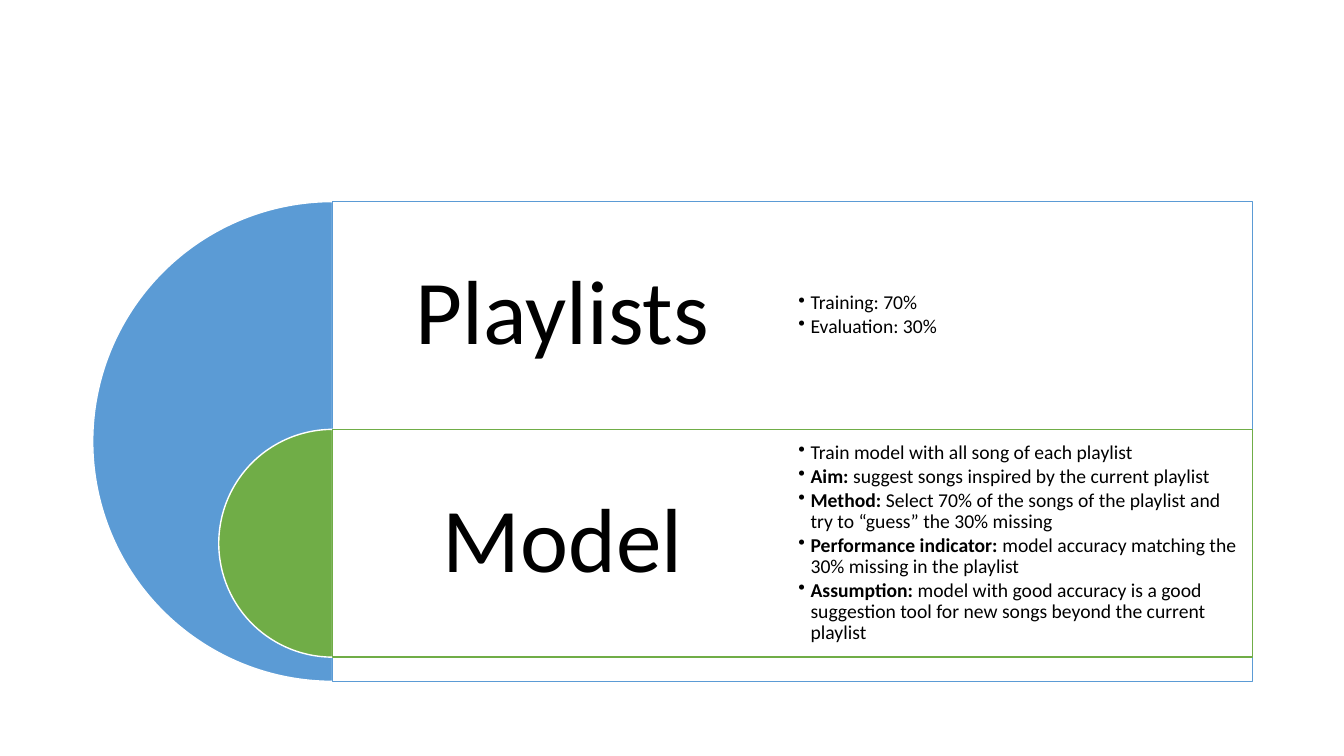
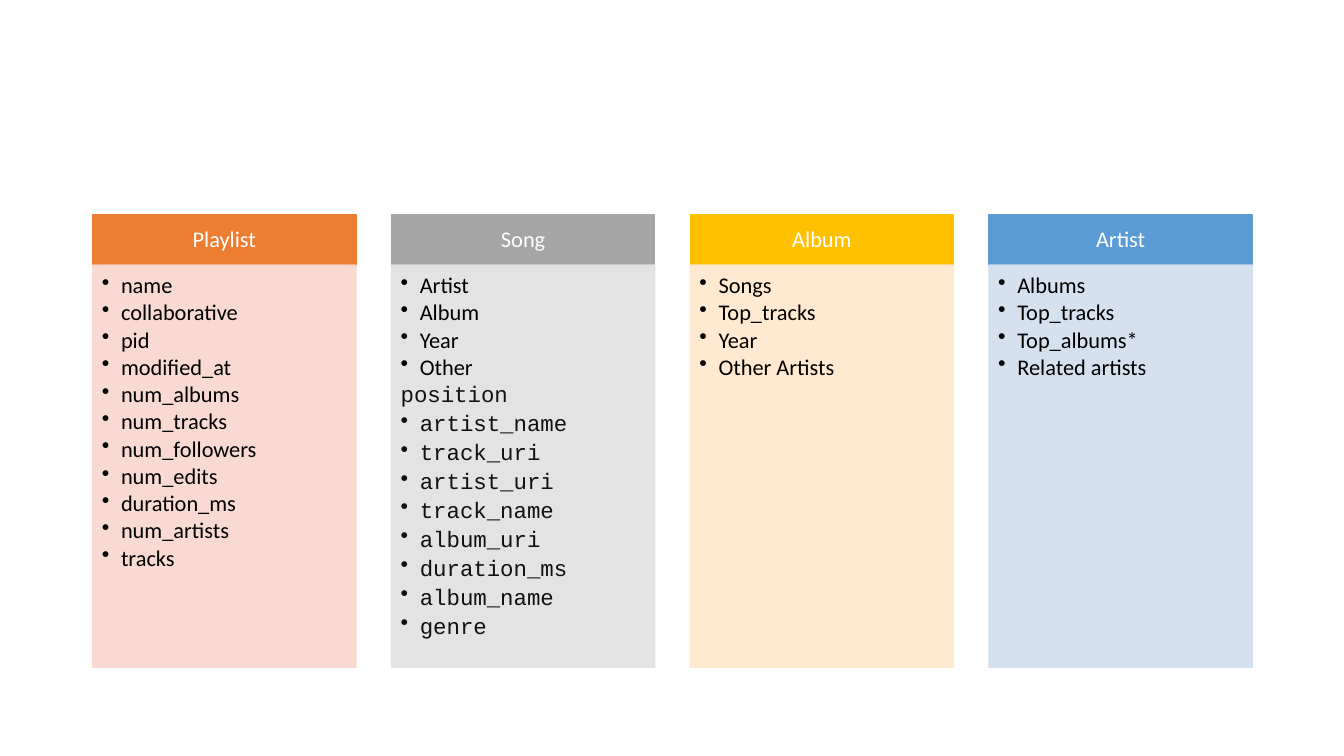
from lxml.etree import SubElement
from pptx import Presentation
from pptx.dml.color import RGBColor
from pptx.enum.shapes import MSO_SHAPE
from pptx.enum.text import MSO_ANCHOR, PP_ALIGN
from pptx.oxml.ns import qn
from pptx.util import Inches, Pt

# Shared style
BLUE, GREEN, ORANGE = "5B9BD5", "70AD47", "ED7D31"
GRAY, GOLD = "A5A5A5", "FFC000"
WHITE, BLACK, CODE_INK = "FFFFFF", "000000", "0F1214"
BODY_FONT, CODE_FONT = "Calibri", "Courier New"
LEFT, RIGHT = 0.92, 12.42


def color(hex_value):
    return RGBColor.from_string(hex_value)


def set_alpha(fill_parent, percent):
    """Make the solid fill inside an spPr or a:ln element translucent."""
    rgb = fill_parent.find(qn("a:solidFill")).find(qn("a:srgbClr"))
    SubElement(rgb, qn("a:alpha"), val=str(percent * 1000))


def add_block(slide, preset, box, fill, line, alpha=None, line_alpha=None):
    block = slide.shapes.add_shape(preset, *map(Inches, box))
    block.shadow.inherit = False
    block.fill.solid()
    block.fill.fore_color.rgb = color(fill)
    block.line.color.rgb = color(line)
    block.line.width = Pt(1)
    properties = block.fill._xPr
    if alpha:
        set_alpha(properties, alpha)
    if line_alpha:
        set_alpha(properties.find(qn("a:ln")), line_alpha)
    return block


def set_frame(shape, insets, anchor=MSO_ANCHOR.MIDDLE):
    frame = shape.text_frame
    frame.word_wrap = True
    frame.vertical_anchor = anchor
    (frame.margin_left, frame.margin_top,
     frame.margin_right, frame.margin_bottom) = map(Inches, insets)
    return frame


def add_text(frame, lines, size, font=BODY_FONT, ink=BLACK,
             align=PP_ALIGN.LEFT, indent=0, bullet=True, gap=0.135):
    """Append lines; in a tuple the first part is a bold label."""
    for line in lines:
        first = frame.paragraphs[0]
        paragraph = frame.add_paragraph() if first.runs else first
        paragraph.alignment = align
        paragraph.line_spacing = 0.9
        paragraph.space_before = Pt(0)
        paragraph.space_after = Pt(round(size * gap, 1))
        if indent:
            hanging = paragraph._p.get_or_add_pPr()
            hanging.set("marL", str(Inches(indent)))
            hanging.set("indent", str(-Inches(indent)))
            if bullet:
                SubElement(hanging, qn("a:buChar"), char="•")
        parts = line if isinstance(line, tuple) else (line,)
        for position, part in enumerate(parts):
            run = paragraph.add_run()
            run.text = part
            run.font.size = Pt(size)
            run.font.name = font
            run.font.bold = position < len(parts) - 1
            run.font.color.rgb = color(ink)


# Nested half circles, each opening onto a bordered panel
def add_target(slide, box, rings):
    left, top, width, height = box
    center = left + height / 2
    band = 2.26
    panel_width = left + width - center
    half = panel_width / 2
    for index, (heading, points, accent) in enumerate(rings):
        band_top = top + index * band
        diameter = height if index == 0 else band
        pie = add_block(slide, MSO_SHAPE.PIE,
                        (center - diameter / 2, band_top, diameter, diameter),
                        accent, WHITE)
        pie.adjustments[0], pie.adjustments[1] = 54, 162
        add_block(slide, MSO_SHAPE.RECTANGLE,
                  (center, band_top, panel_width, diameter),
                  WHITE, accent, alpha=90)

        heading_box = slide.shapes.add_textbox(
            *map(Inches, (center, band_top, half, band)))
        add_text(set_frame(heading_box, [0.27] * 4), [heading], 65,
                 align=PP_ALIGN.CENTER, gap=0)
        points_box = slide.shapes.add_textbox(
            *map(Inches, (center + half, band_top, half, band)))
        add_text(set_frame(points_box, [0.06] * 4), points, 14, indent=0.12)


# One field column: coloured header over a tinted list
def add_column(slide, box, heading, accent, tint, fields, code_fields):
    left, top, width, height = box
    header_height = 0.5
    header = add_block(slide, MSO_SHAPE.RECTANGLE,
                       (left, top, width, header_height), accent, accent)
    add_text(set_frame(header, (0.12, 0.07, 0.12, 0.07)), [heading], 16,
             ink=WHITE, align=PP_ALIGN.CENTER, gap=0)

    panel = add_block(slide, MSO_SHAPE.RECTANGLE,
                      (left, top + header_height, width, height - header_height),
                      tint, tint, alpha=90, line_alpha=90)
    listing = set_frame(panel, (0.09, 0.09, 0.12, 0.14), MSO_ANCHOR.TOP)
    add_text(listing, fields, 16, indent=0.19)
    code = dict(font=CODE_FONT, ink=CODE_INK, indent=0.19, gap=0.21)
    add_text(listing, code_fields[:1], 16, bullet=False, **code)
    add_text(listing, code_fields[1:], 16, **code)


def add_columns(slide, box, columns):
    left, top, width, height = box
    column_width = 2.61
    pitch = (width - column_width) / (len(columns) - 1)
    for index, column in enumerate(columns):
        add_column(slide, (left + index * pitch, top, column_width, height),
                   *column)


RINGS = [
    ("Playlists", ["Training: 70%", "Evaluation: 30%"], BLUE),
    ("Model", [
        "Train model with all song of each playlist",
        ("Aim:", " suggest songs inspired by the current playlist"),
        ("Method:", " Select 70% of the songs of the playlist and try to "
                    "“guess” the 30% missing"),
        ("Performance indicator:",
         " model accuracy matching the 30% missing in the playlist"),
        ("Assumption:", " model with good accuracy is a good suggestion tool "
                        "for new songs beyond the current playlist"),
    ], GREEN),
]

COLUMNS = [
    ("Playlist", ORANGE, "F8D7CE",
     ["name", "collaborative", "pid", "modified_at", "num_albums",
      "num_tracks", "num_followers", "num_edits", "duration_ms",
      "num_artists", "tracks"], []),
    ("Song", GRAY, "E1E1E1",
     ["Artist", "Album", "Year", "Other "],
     ["position", "artist_name", "track_uri", "artist_uri", "track_name",
      "album_uri", "duration_ms", "album_name", "genre"]),
    ("Album", GOLD, "FFE8CC",
     ["Songs", "Top_tracks", "Year", "Other Artists"], []),
    ("Artist", BLUE, "D2DEEF",
     ["Albums", "Top_tracks", "Top_albums*", "Related artists"], []),
]

deck = Presentation()
deck.slide_width, deck.slide_height = Inches(13.33), Inches(7.5)
blank = deck.slide_layouts[6]
add_target(deck.slides.add_slide(blank), (LEFT, 2, RIGHT - LEFT, 4.76), RINGS)
add_columns(deck.slides.add_slide(blank), (LEFT, 2.13, RIGHT - LEFT, 4.49),
            COLUMNS)
deck.save("out.pptx")
